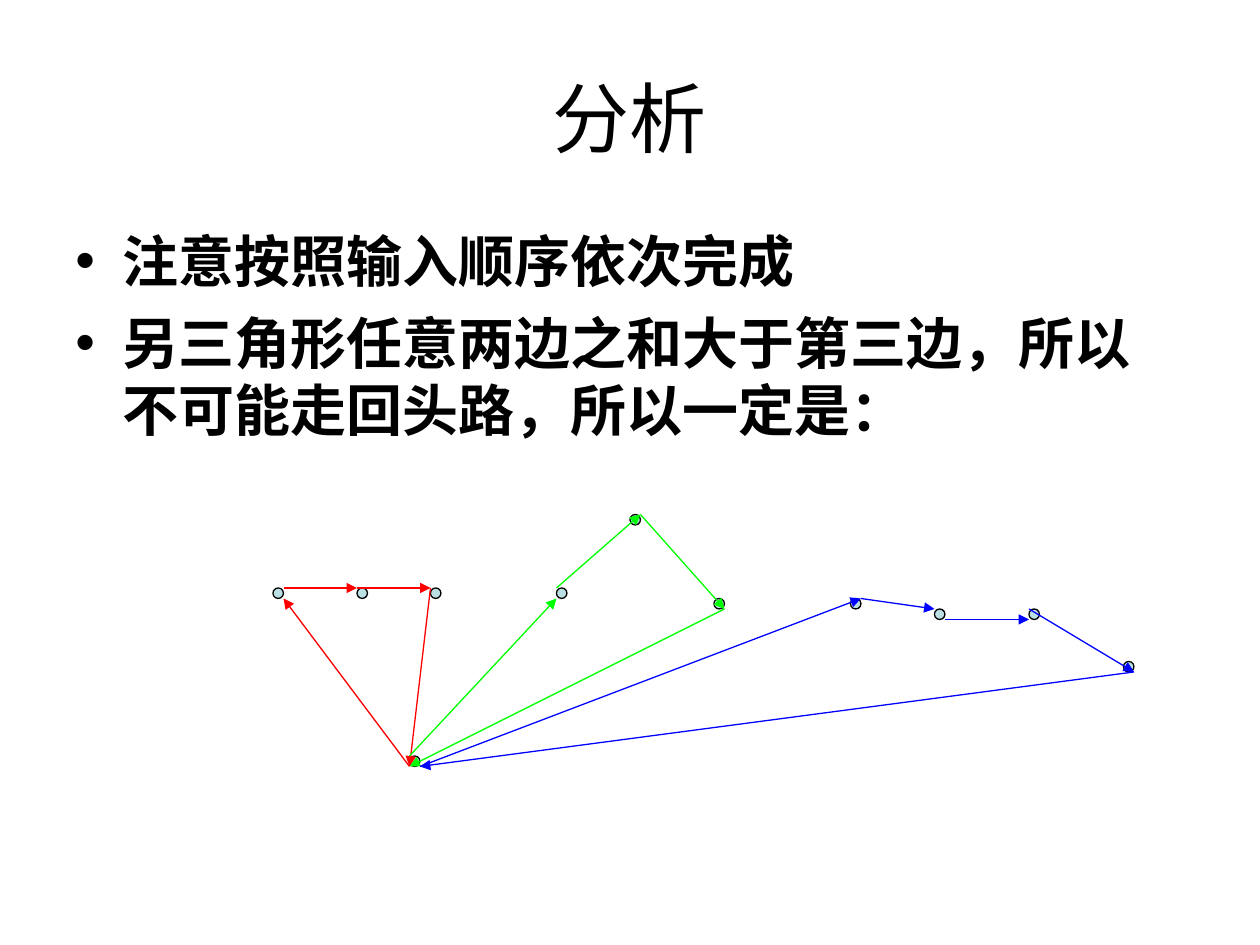
from itertools import pairwise

from lxml import etree
from pptx import Presentation
from pptx import util as u
from pptx.dml.color import RGBColor
from pptx.enum import shapes, text
from pptx.oxml.ns import qn


def rgb(value):
    return RGBColor.from_string(value)


def add_text(s, box, lines, size, bold, align, anchor):
    tf = s.shapes.add_textbox(*[u.Cm(v) for v in box]).text_frame
    tf.word_wrap = True
    tf.vertical_anchor = anchor
    tf.text = "\n".join(lines)
    for p in tf.paragraphs:
        p.alignment = align
        for r in p.runs:
            r.font.name = "Arial"
            r.font.size = u.Pt(size)
            r.font.bold = bold
            r.font.color.rgb = rgb("000000")
    return tf


prs = Presentation()
prs.slide_width, prs.slide_height = u.Cm(25.4), u.Cm(19.05)
s = prs.slides.add_slide(prs.slide_layouts[6])

add_text(s, (1.27, 0.76, 22.86, 3.18), ["分析"], 44, False,
         text.PP_ALIGN.CENTER, text.MSO_ANCHOR.MIDDLE)

points = ["注意按照输入顺序依次完成",
          "另三角形任意两边之和大于第三边，所以不可能走回头路，所以一定是："]
tf = add_text(s, (1.27, 4.45, 22.86, 12.57), points, 32, True,
              text.PP_ALIGN.LEFT, text.MSO_ANCHOR.TOP)
for i, p in enumerate(tf.paragraphs):
    pPr = p._p.get_or_add_pPr()
    pPr.set("marL", str(u.Cm(0.95)))
    pPr.set("indent", str(-u.Cm(0.95)))
    etree.SubElement(pPr, qn("a:buFont")).set("typeface", "Arial")
    etree.SubElement(pPr, qn("a:buChar")).set("char", "•")
    if i:
        p.space_before = u.Pt(8)

unit = 2.54 / 12
dots = [(39, 72), (26, 56), (34, 56), (41, 56), (53, 56), (60, 49),
        (68, 57), (81, 57), (89, 58), (98, 58), (107, 63)]
for x, y in dots:
    sp = s.shapes.add_shape(shapes.MSO_SHAPE.OVAL, u.Cm(x * unit), u.Cm(y * unit),
                            u.Cm(unit), u.Cm(unit))
    sp.shadow.inherit = False
    sp.fill.solid()
    sp.fill.fore_color.rgb = rgb("BBE0E3")
    sp.line.color.rgb = rgb("000000")
    sp.line.width = u.Pt(0.75)

routes = [
    ("FF0000", [(39, 73), (27, 57)]),
    ("FF0000", [(27, 56), (34, 56), (41, 56), (39, 73)]),
    ("00FF00", [(39, 72), (53, 57)]),
    ("00FF00", [(53, 56), (61, 49), (69, 58), (39, 73)]),
    ("0000FF", [(40, 73), (82, 57), (89, 58)]),
    ("0000FF", [(90, 59), (98, 59)]),
    ("0000FF", [(98, 58), (108, 64), (40, 73)]),
]
for color, stops in routes:
    for start, end in pairwise(stops):
        c = s.shapes.add_connector(shapes.MSO_CONNECTOR.STRAIGHT,
                                   *[u.Cm(v * unit) for v in start + end])
        c.line.color.rgb = rgb(color)
        c.line.width = u.Pt(0.75)
        etree.SubElement(c.line._get_or_add_ln(), qn("a:tailEnd")).set("type", "triangle")
        etree.SubElement(c._element.spPr, qn("a:effectLst"))

prs.save("out.pptx")
